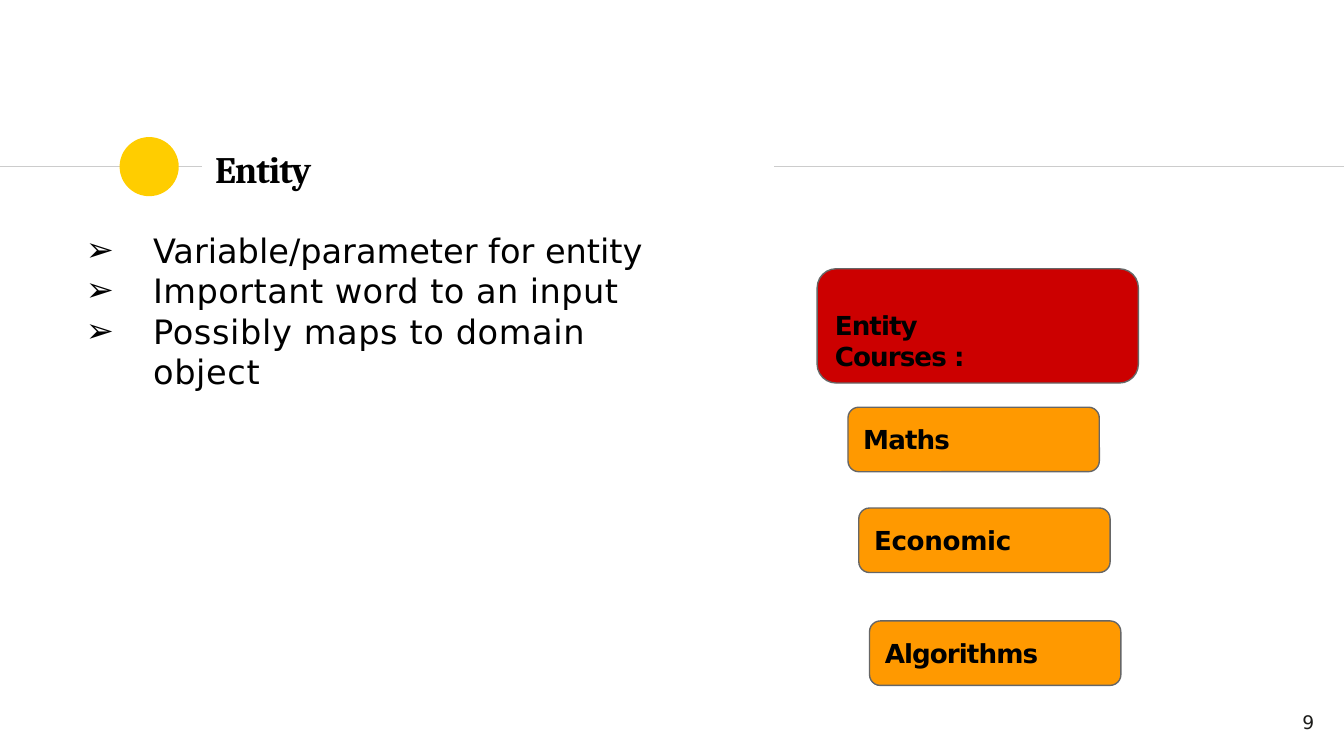
from pptx import Presentation
from pptx.dml.color import RGBColor
from pptx.enum.shapes import MSO_CONNECTOR, MSO_SHAPE
from pptx.enum.text import MSO_ANCHOR as Anchor, PP_ALIGN as Align
from pptx.oxml.ns import qn
from pptx.util import Inches, Pt
from lxml import etree

BODY_FONT = "DejaVu Sans"
RULE_Y = 1.24
RULES = [(0, 1.5), (5.76, 10)]
# Text and letter spacing in points
BULLETS = [
    ("Variable/parameter for entity", 0),
    ("Important word to an input", 0.25),
    ("Possibly maps to domain object", 0.33),
]
# Text, left, top, letter spacing
COURSES = [
    ("Maths", 6.31, 3.03, -0.5),
    ("Economic", 6.39, 3.78, -0.2),
    ("Algorithms", 6.47, 4.62, -0.5),
]


def color(value):
    """Turn a hex string into a colour."""
    return RGBColor.from_string(value)


def add_text(frame, text, size=14, font=BODY_FONT, ink="000000", bold=False,
             spacing=0, before=1, bullet=None, first=True):
    """Write one paragraph with its format into a text frame."""
    paragraph = frame.paragraphs[0] if first else frame.add_paragraph()
    paragraph.alignment = Align.LEFT
    paragraph.space_before = Pt(before)
    run = paragraph.add_run()
    run.text = text
    run.font.size, run.font.name, run.font.bold = Pt(size), font, bold
    run.font.color.rgb = color(ink)
    run._r.get_or_add_rPr().set("spc", str(round(spacing * 100)))
    if bullet:
        properties = paragraph._p.get_or_add_pPr()
        properties.set("marL", str(Inches(0.51)))
        properties.set("indent", str(Inches(-0.5)))
        etree.SubElement(properties, qn("a:buFont")).set("typeface", font)
        etree.SubElement(properties, qn("a:buChar")).set("char", bullet)


def set_frame(shape, left=0, top=0.01, right=0, anchor=Anchor.TOP):
    """Set wrapping, insets and anchor; return the text frame."""
    frame = shape.text_frame
    frame.word_wrap = True
    frame.margin_left, frame.margin_top = Inches(left), Inches(top)
    frame.margin_right, frame.margin_bottom = Inches(right), 0
    frame.vertical_anchor = anchor
    return frame


def add_box(slide, *place):
    """Add a text box and return its frame."""
    return set_frame(slide.shapes.add_textbox(*map(Inches, place)))


def add_shape(slide, kind, place, fill, line=None):
    """Add a flat preset shape."""
    shape = slide.shapes.add_shape(kind, *map(Inches, place))
    shape.shadow.inherit = False
    shape.fill.solid()
    shape.fill.fore_color.rgb = color(fill)
    if line:
        shape.line.color.rgb = color(line)
        shape.line.width = Pt(0.75)
    else:
        shape.line.fill.background()
    return shape


def add_card(slide, text, place, fill, spacing, **insets):
    """Add a rounded card with bold text."""
    card = add_shape(slide, MSO_SHAPE.ROUNDED_RECTANGLE, place, fill, "666666")
    add_text(set_frame(card, **insets), text, bold=True, spacing=spacing, before=0)


def add_rule(slide, start, end):
    """Add a thin horizontal line."""
    rule = slide.shapes.add_connector(
        MSO_CONNECTOR.STRAIGHT, *map(Inches, (start, RULE_Y, end, RULE_Y)))
    rule.line.color.rgb = color("CCCCCC")
    rule.line.width = Pt(0.75)
    etree.SubElement(rule._element.spPr, qn("a:effectLst"))


presentation = Presentation()
presentation.slide_width = Inches(10)
presentation.slide_height = Inches(10 * 9 / 16)
slide = presentation.slides.add_slide(presentation.slide_layouts[6])

for start, end in RULES:
    add_rule(slide, start, end)
add_shape(slide, MSO_SHAPE.OVAL, (0.89, 1.02, 0.44, 0.44), "FFCD00")
add_text(add_box(slide, 1.6, 1.08, 0.85, 0.36), "Entity", size=20,
         font="Cambria", bold=True, spacing=-0.6)

bullet_frame = add_box(slide, 0.63, 1.7, 4.53, 0.93)
for index, (text, spacing) in enumerate(BULLETS):
    add_text(bullet_frame, text, size=18, spacing=spacing, bullet="\u27a2",
             before=0.1 if index else 1, first=index == 0)

add_card(slide, "Entity Courses :", (6.08, 2, 2.39, 0.85), "CC0000", -0.5,
         left=0.09, top=0.26, right=0.9)
for text, left, top, spacing in COURSES:
    add_card(slide, text, (left, top, 1.87, 0.48), "FF9900", spacing,
             left=0.09, top=0, anchor=Anchor.MIDDLE)

add_text(add_box(slide, 9.69, 5.28, 0.21, 0.21), "9", size=10, ink="1C1C1A",
         spacing=-0.6)
presentation.save("out.pptx")
